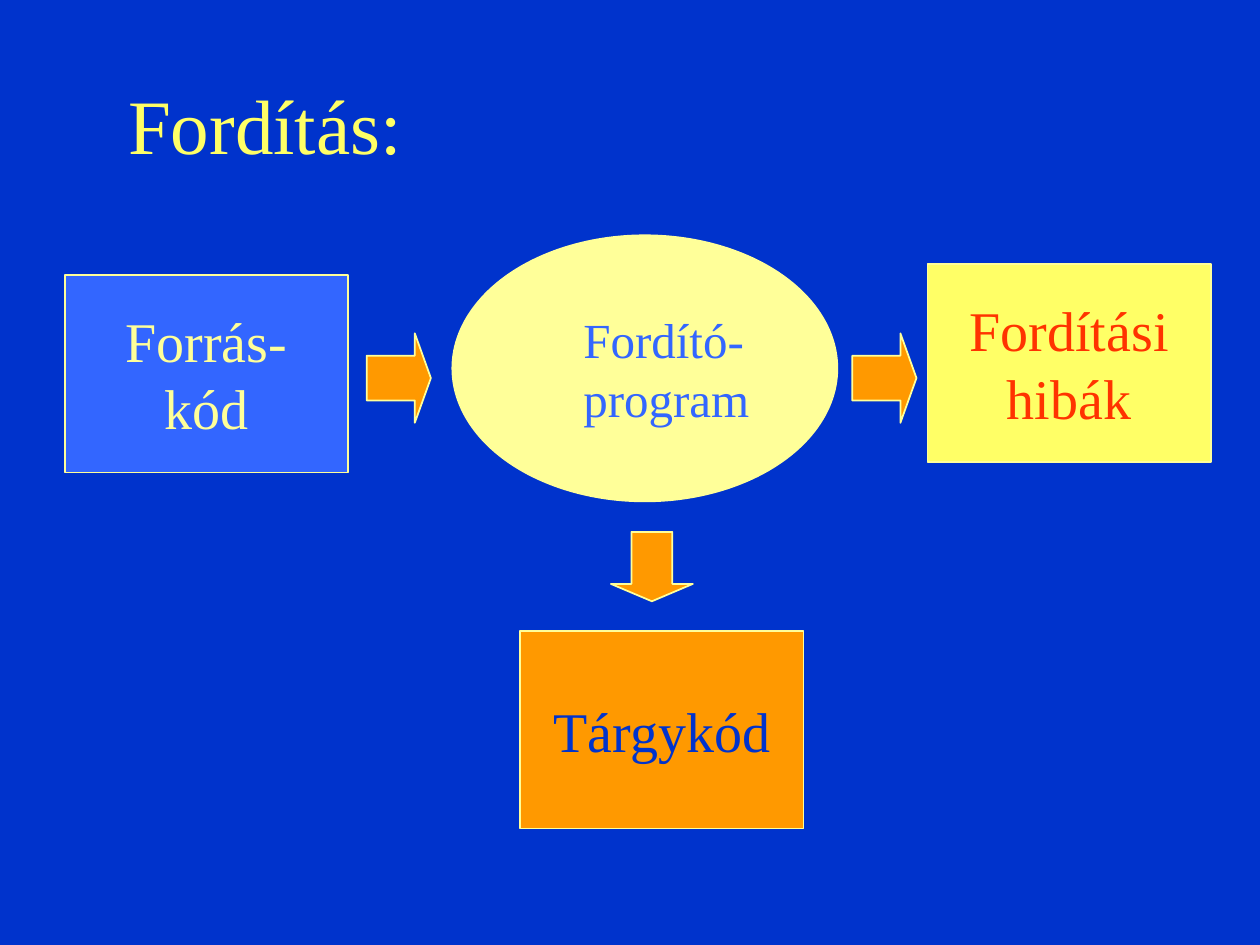
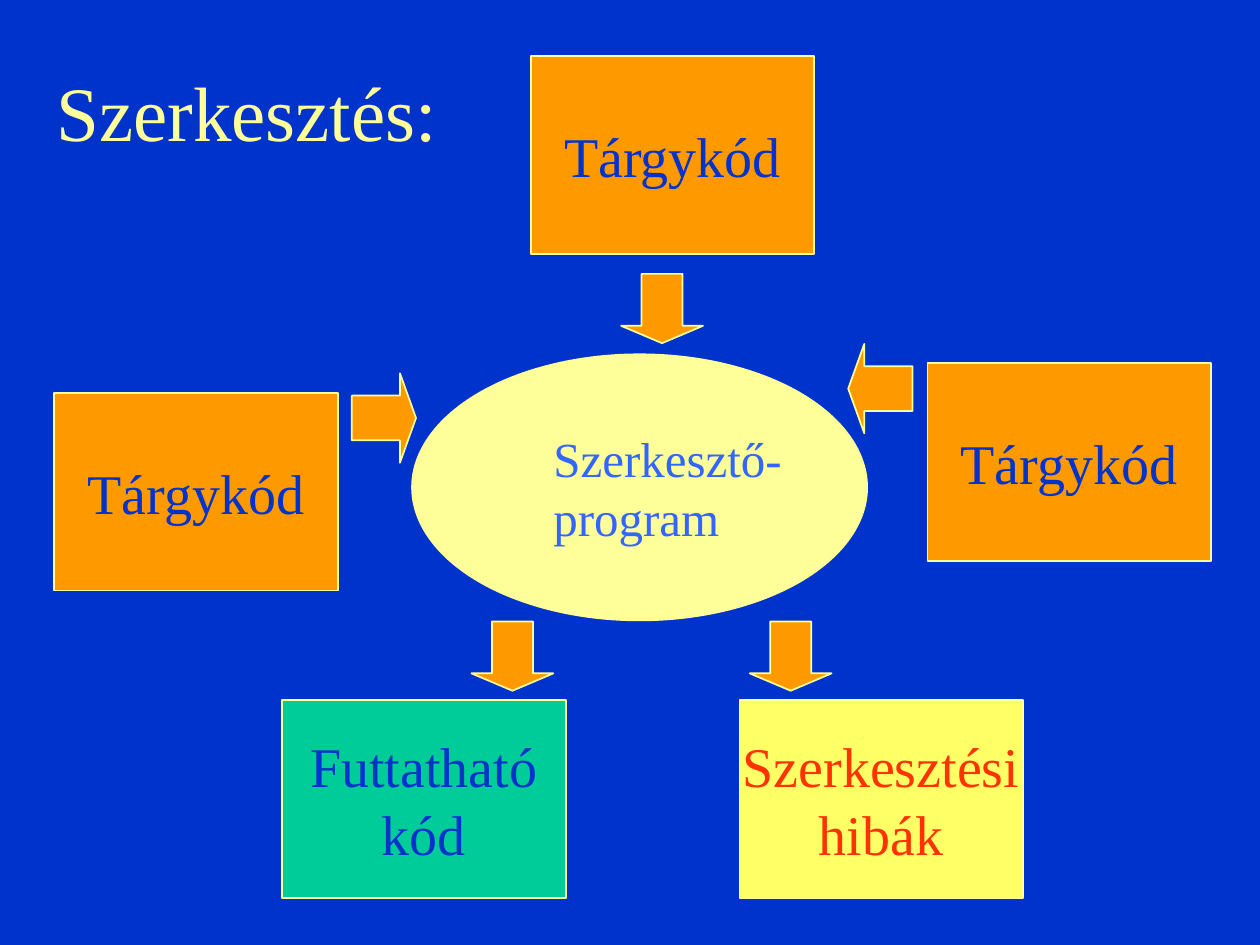
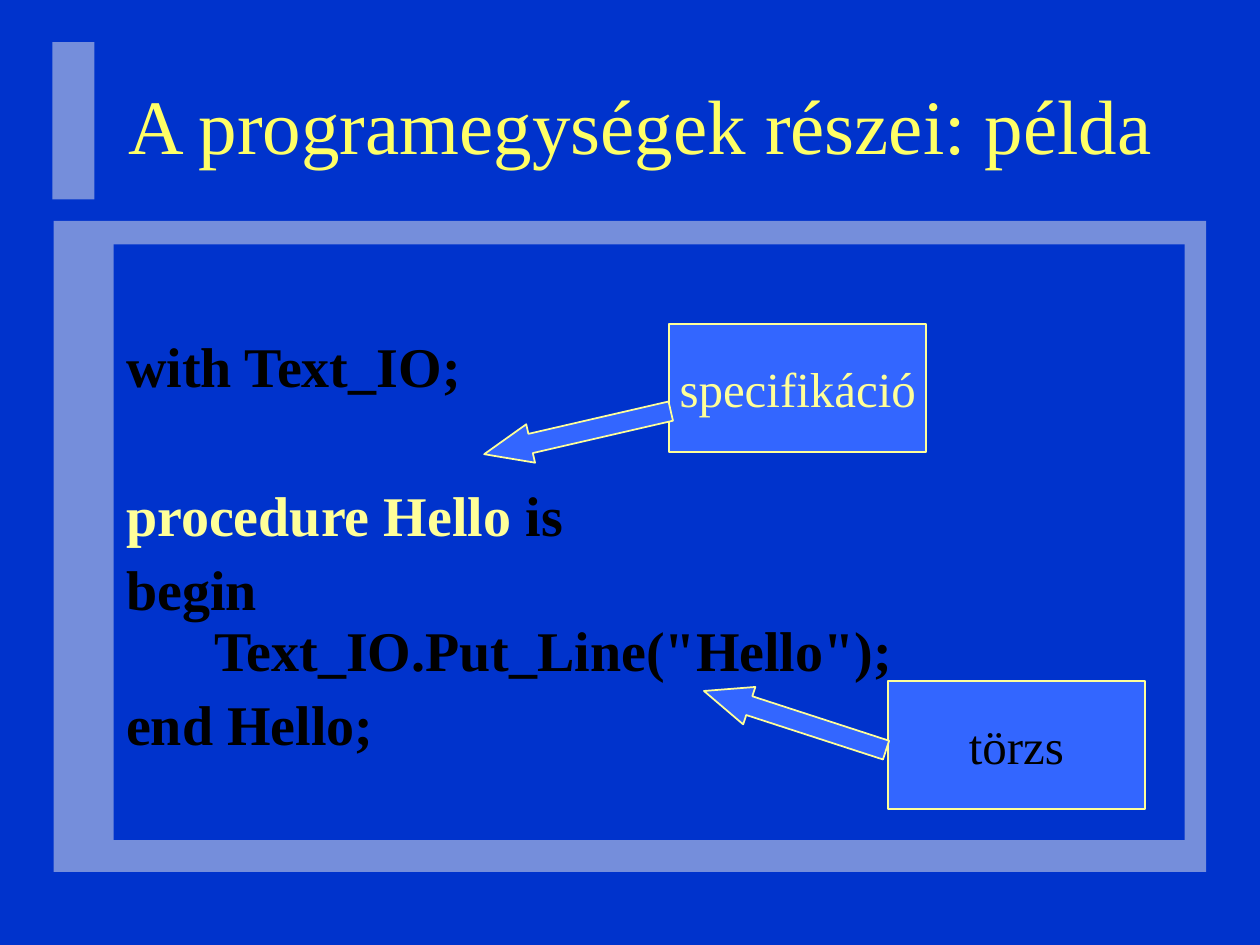
from lxml.etree import SubElement
from pptx import Presentation
from pptx.dml.color import RGBColor
from pptx.enum.shapes import MSO_SHAPE as Preset
from pptx.enum.text import MSO_ANCHOR as Anchor, MSO_AUTO_SIZE as AutoSize, PP_ALIGN as Align
from pptx.oxml.ns import qn
from pptx.util import Pt

FONT = "Times New Roman"
NAVY, BLUE, ORANGE, GREEN = "0033CC", "3366FF", "FF9900", "00CC99"
YELLOW, PALE, RED, BLACK, GREY = "FFFF66", "FFFF99", "FF3300", "000000", "EAEAEA"

TITLE_BOX = (66, 27, 612, 87)
BOX_SIZE = (162, 113)
LABEL_SIZE = (147, 73.5)
CODE_SPACING, CODE_GAP = 8, 50.5  # after a line, after an empty line
CODE = [  # space before, runs
    (0, [("with Text_IO;", BLACK)]),
    (CODE_GAP, [("procedure Hello ", PALE), ("is", BLACK)]),
    (CODE_SPACING, [('begin\n   Text_IO.Put_Line("Hello");', BLACK)]),
    (CODE_SPACING, [("end Hello;", BLACK)]),
]


def rgb(code):
    return RGBColor.from_string(code)


def add_text(para, text, size, color, bold=False):
    """Add runs to a paragraph, with a line break at each newline."""
    for index, line in enumerate(text.split("\n")):
        if index:
            para.add_line_break()
        span = para.add_run()
        span.text = line
        span.font.name, span.font.size, span.font.bold = FONT, Pt(size), bold
        span.font.color.rgb = rgb(color)


def add_shape(page, preset, box, fill, line=None):
    shape = page.shapes.add_shape(preset, *map(Pt, box))
    shape.shadow.inherit = False
    shape.fill.solid()
    shape.fill.fore_color.rgb = rgb(fill)
    if line:
        shape.line.color.rgb = rgb(line)
        shape.line.width = Pt(1)
    else:
        shape.line.fill.background()
    return shape


def add_arrow(page, preset, box, fill, head, rotation=0):
    """Add a block arrow; head is the head's length relative to its width."""
    arrow = add_shape(page, preset, box, fill, PALE)
    arrow.adjustments[0], arrow.adjustments[1] = 0.5, head
    arrow.rotation = rotation


def flow_arrow(page, left, top, rotation=0):
    size = (39.6, 46.8) if rotation == 90 else (36.7, 51.1)
    add_arrow(page, Preset.RIGHT_ARROW, (left, top, *size), ORANGE, 0.25, rotation)


def caption(shape, text, size, color, align):
    frame = shape.text_frame
    frame.word_wrap = False
    frame.vertical_anchor = Anchor.MIDDLE
    para = frame.paragraphs[0]
    para.alignment = align
    add_text(para, text, size, color)
    return para


def labelled_box(page, left, top, text, fill, color, extent=BOX_SIZE, size=32):
    box = add_shape(page, Preset.RECTANGLE, (left, top, *extent), fill, PALE)
    caption(box, text, size, color, Align.CENTER)


def object_code(page, left, top):
    labelled_box(page, left, top, "Tárgykód", ORANGE, NAVY)


def program_ellipse(page, box, text):
    para = caption(add_shape(page, Preset.OVAL, box, PALE), text, 28, BLUE, Align.LEFT)
    para.level = 1
    properties = para._p.get_or_add_pPr()
    properties.set("marL", str(Pt(36)))
    properties.set("indent", "0")


def titled_page(deck, text, box=TITLE_BOX, color=YELLOW):
    page = deck.slides.add_slide(deck.slide_layouts.get_by_name("Title Only"))
    title = page.shapes.title
    title.left, title.top, title.width, title.height = map(Pt, box)
    frame = title.text_frame
    frame.auto_size = AutoSize.NONE
    frame.word_wrap = True
    frame.vertical_anchor = Anchor.MIDDLE
    frame.paragraphs[0].alignment = Align.LEFT
    add_text(frame.paragraphs[0], text, 44, color)
    return page


def translucent_panel(page, box):
    panel = add_shape(page, Preset.RECTANGLE, box, GREY)
    color = next(panel._element.spPr.iter(qn("a:srgbClr")))
    SubElement(color, qn("a:alpha"), val="50000")


def code_panel(page, box):
    panel = add_shape(page, Preset.RECTANGLE, box, NAVY)
    frame = panel.text_frame
    frame.word_wrap = True
    frame.vertical_anchor = Anchor.TOP
    frame.margin_top = Pt(54)
    for index, (gap, runs) in enumerate(CODE):
        para = frame.add_paragraph() if index else frame.paragraphs[0]
        para.alignment = Align.LEFT
        para.line_spacing = 0.9
        para.space_before = Pt(gap)
        properties = para._p.get_or_add_pPr()
        properties.set("marL", str(Pt(27)))
        properties.set("indent", str(-Pt(27)))
        for text, color in runs:
            add_text(para, text, 32, color, bold=True)


def compiling_slide(deck):
    page = titled_page(deck, "Fordítás:")
    labelled_box(page, 37, 157, "Forrás-\nkód", BLUE, PALE)
    object_code(page, 297.2, 360.5)
    labelled_box(page, 530, 151, "Fordítási\nhibák", YELLOW, RED)
    for left in (209.5, 487):
        flow_arrow(page, left, 190.5)
    flow_arrow(page, 352.7, 300.4, 90)
    program_ellipse(page, (258, 134, 221, 153), "Fordító-\nprogram")


def linking_slide(deck):
    page = titled_page(deck, "Szerkesztés:", (25, 20, 233, 87), PALE)
    for left, top in ((31, 224.5), (530, 207.5), (303.3, 32)):
        object_code(page, left, top)
    labelled_box(page, 161.3, 400.2, "Futtatható\nkód", GREEN, NAVY)
    labelled_box(page, 422.5, 400.2, "Szerkesztési\nhibák", YELLOW, RED)
    for left, top, rotation in ((484.7, 196.5, 180), (201, 213.3, 0), (358.5, 152.9, 90),
                                (273, 351.5, 90), (432, 351.5, 90)):
        flow_arrow(page, left, top, rotation)
    program_ellipse(page, (235, 202, 261, 153), "Szerkesztő-\nprogram")


def example_slide(deck):
    page = titled_page(deck, "A programegységek részei: példa")
    translucent_panel(page, (30.6, 126.2, 658.6, 372))
    translucent_panel(page, (30, 24, 24, 90))
    code_panel(page, (65, 139.6, 612, 340.4))
    for left, top, text, color in ((382.4, 185, "specifikáció", PALE),
                                   (507.3, 389, "törzs", BLACK)):
        labelled_box(page, left, top, text, BLUE, color, LABEL_SIZE, 28)
    for left, top, rotation in ((399.6, 400.5, 18), (275.3, 236, 347)):
        add_arrow(page, Preset.LEFT_ARROW, (left, top, 109.4, 22.5), BLUE, 1.21, rotation)


def main():
    deck = Presentation()
    deck.slide_width, deck.slide_height = Pt(720), Pt(540)
    background = deck.slide_master.background.fill
    background.solid()
    background.fore_color.rgb = rgb(NAVY)
    compiling_slide(deck)
    linking_slide(deck)
    example_slide(deck)
    deck.save("out.pptx")


if __name__ == "__main__":
    main()
